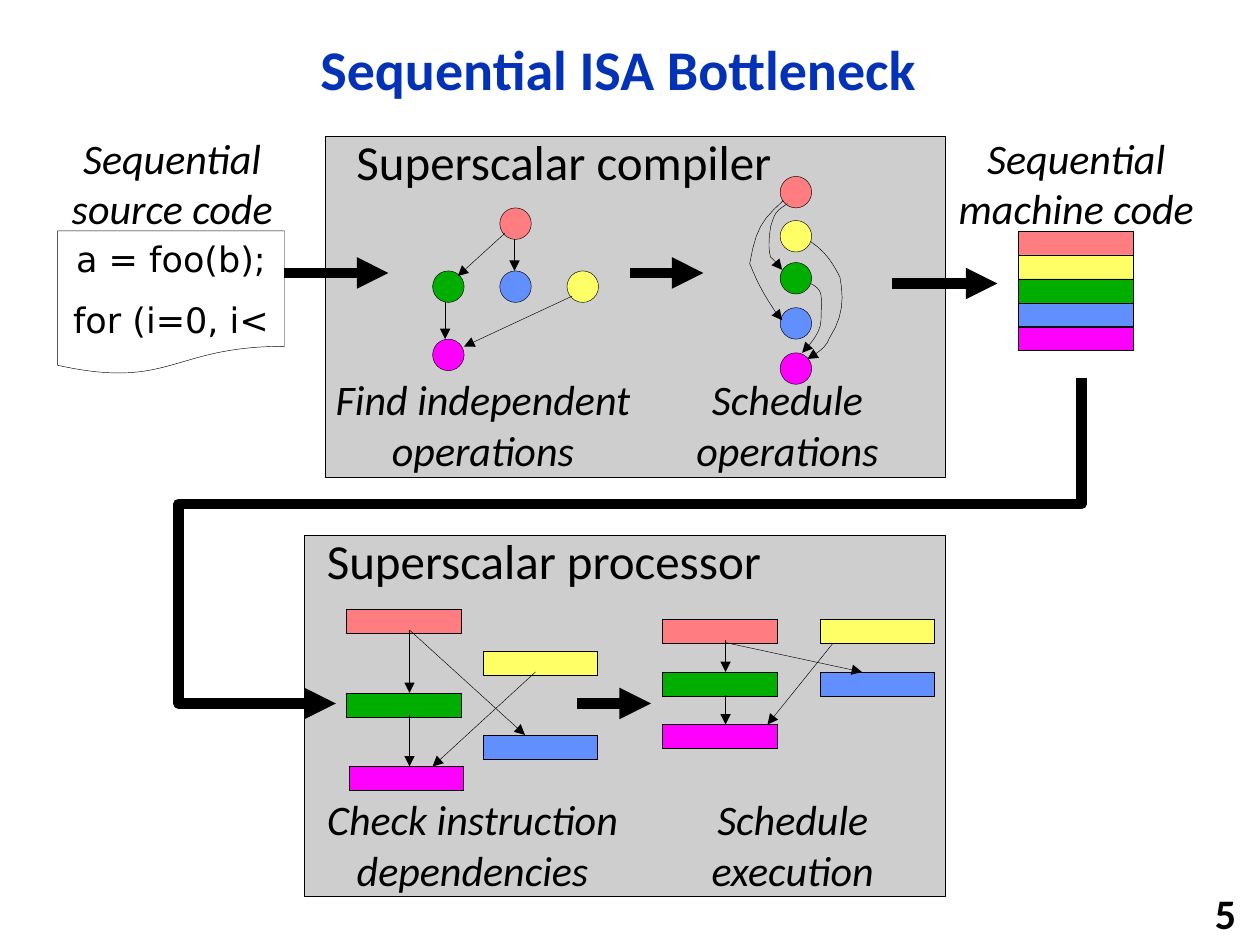
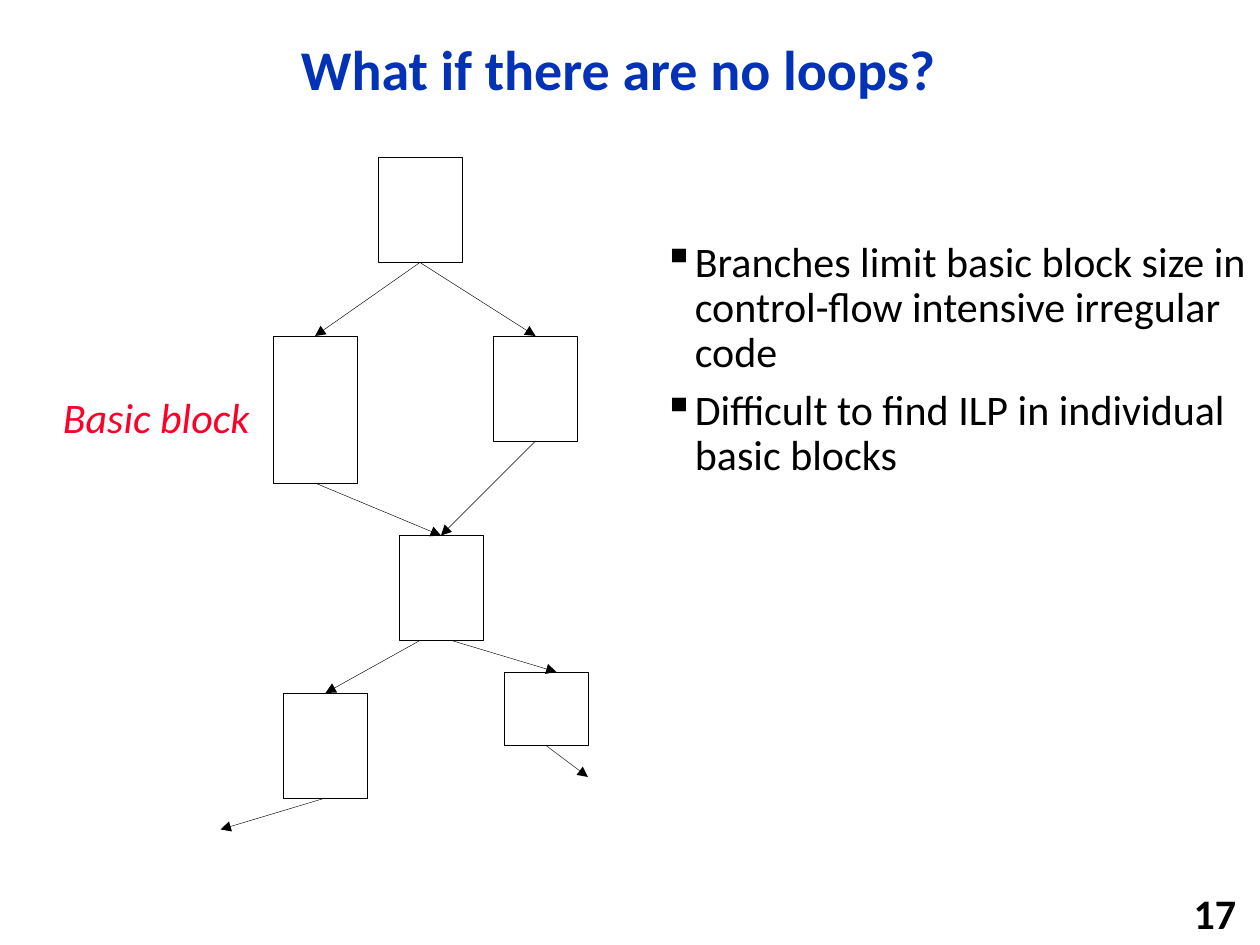
"""Build two slides on instruction scheduling and basic blocks."""
from dataclasses import dataclass

import pptx
import pptx.dml.color
import pptx.enum.shapes
import pptx.enum.text
import pptx.oxml.ns
import pptx.util
from lxml import etree

RGB = pptx.dml.color.RGBColor
SHAPE = pptx.enum.shapes.MSO_SHAPE
ALIGN = pptx.enum.text.PP_ALIGN
ANCHOR = pptx.enum.text.MSO_ANCHOR
Pt = pptx.util.Pt
qn = pptx.oxml.ns.qn

BLACK = RGB(0x00, 0x00, 0x00)
WHITE = RGB(0xFF, 0xFF, 0xFF)
TITLE_BLUE = RGB(0x03, 0x32, 0xB7)
LABEL_RED = RGB(0xFC, 0x01, 0x28)
PANEL_GREY = RGB(0xCE, 0xCE, 0xCE)
PINK = RGB(0xFF, 0x7C, 0x80)
YELLOW = RGB(0xFF, 0xFF, 0x66)
GREEN = RGB(0x00, 0xAE, 0x00)
BLUE = RGB(0x61, 0x8F, 0xFD)
MAGENTA = RGB(0xFF, 0x00, 0xFF)

CELL = pptx.util.Inches(10) // 120
COLUMNS, ROWS = 120, 90
HAIRLINE, THICK = 0.25, 6
INSTRUCTION_WIDTH, INSTRUCTION_HEIGHT, OPERATION_SIZE = 10.9, 2.28, 3
CAPTION_HEIGHT = 10.9
Point = tuple[float, float]


@dataclass(frozen=True)
class Box:
    """A rectangle in grid columns and rows."""
    column: float
    row: float
    width: float
    height: float

    def emu(self) -> list[int]:
        """Return the left, top, width and height in EMU."""
        return [cells(v) for v in (self.column, self.row, self.width, self.height)]


@dataclass(frozen=True)
class Node:
    """A coloured instruction or operation at a grid place."""
    column: float
    row: float
    colour: RGB


@dataclass(frozen=True)
class Edge:
    """An arrow between points or named blocks."""
    start: Point | str
    end: Point | str
    weight: float = HAIRLINE


@dataclass(frozen=True)
class Caption:
    """An italic label under or over a stage."""
    text: str
    column: float
    row: float
    width: float


COMPILER = Box(31, 13, 59, 32.5)
PROCESSOR = Box(29, 51, 61, 34.4)
SOURCE_CODE = Box(5.5, 22, 21.6, 13.7)

INSTRUCTIONS = [
    Node(33, 58, PINK), Node(46, 62, YELLOW), Node(33, 66, GREEN),
    Node(46, 70, BLUE), Node(33.25, 73, MAGENTA),
    Node(63.1, 59, PINK), Node(78.1, 59, YELLOW), Node(63.1, 64, GREEN),
    Node(78.1, 64, BLUE), Node(63.1, 69, MAGENTA),
] + [Node(97, 22 + i * INSTRUCTION_HEIGHT, colour)
     for i, colour in enumerate((PINK, YELLOW, GREEN, BLUE, MAGENTA))]

OPERATIONS = [
    Node(41.2, 25.8, GREEN), Node(47.6, 25.8, BLUE), Node(54, 25.8, YELLOW),
    Node(47.6, 19.8, PINK), Node(41.2, 32.3, MAGENTA),
    Node(74.3, 16.8, PINK), Node(74.3, 21, YELLOW), Node(74.3, 25, GREEN),
    Node(74.3, 29.3, BLUE), Node(74.3, 33.6, MAGENTA),
]

DEPENDENCIES = [
    Edge((48.1, 22.2), (43.6, 26.3)), Edge((49, 22.8), (49, 25.8)),
    Edge((42.4, 28.8), (42.4, 32.3)), Edge((54.5, 28.2), (44.2, 33)),
    Edge((39, 60), (39, 66)), Edge((39, 68), (39, 73)),
    Edge((51, 64), (41.2, 73)), Edge((39, 60), (50, 70)),
    Edge((69.1, 61), (69.1, 64)), Edge((69.1, 61.2), (82.1, 64)),
    Edge((79.3, 61.3), (73.1, 69)), Edge((69.1, 66.2), (69.1, 69)),
]
FLOW = [
    Edge((27, 26), (37, 26), THICK), Edge((60, 26), (67, 26), THICK),
    Edge((85, 27), (95, 27), THICK), Edge((55, 67), (62, 67), THICK),
]
MACHINE_CODE_ROUTE = [(103, 36), (103, 48), (17, 48), (17, 67), (32, 67)]

SCHEDULE_CURVES = [
    [(77.2, 23), (78.7, 24), (79.4, 25.2), (80, 26.4), (80.4, 28.4),
     (80.3, 30.2), (79, 32.2), (78.7, 33.2), (77.5, 33.8), (76.9, 34.2)],
    [(75, 19.4), (73.8, 20.2), (73.8, 20.3), (73.4, 21.6), (73.3, 22.3),
     (73.1, 23.6), (73.4, 24.5), (73.7, 24.7), (74.5, 25.7), (74.5, 25.7)],
    [(74.6, 19.1), (72.5, 21), (72, 21.8), (71.4, 25.1), (72, 26.6),
     (72.7, 28), (73.6, 29.3), (73.9, 29.8), (74.2, 30.2), (74.5, 30.5)],
    [(77.2, 27), (77.6, 27.2), (78.1, 27.5), (78.2, 28.1), (78.3, 28.8),
     (78.2, 29.6), (78.2, 30.5), (78.2, 31.6), (77.2, 32.8), (76.4, 33.6)],
]

CAPTIONS = [
    Caption("Sequential source code", 5, 12, 22.8),
    Caption("Sequential machine code", 89, 12, 27),
    Caption("Find independent operations", 30, 35, 32),
    Caption("Schedule operations", 59, 35, 32),
    Caption("Check instruction dependencies", 28, 75, 34),
    Caption("Schedule execution", 60, 75, 31),
]

BLOCKS = {
    "entry": Box(36, 15, 8, 10),
    "left branch": Box(26, 32, 8, 14),
    "right branch": Box(47, 32, 8, 10),
    "merge": Box(38, 51, 8, 10),
    "left exit": Box(27, 66, 8, 10),
    "right exit": Box(48, 64, 8, 7),
}
BRANCHES = [
    Edge("entry", "left branch"), Edge("entry", "right branch"),
    Edge("left branch", "merge"), Edge("right branch", "merge"),
    Edge((40, 61), "left exit"), Edge((43, 61), (53, 64)),
    Edge("right exit", (56, 74)), Edge("left exit", (21, 79)),
]


def cells(count: float) -> int:
    """Turn a number of grid cells into EMU."""
    return round(count * CELL)


def write(frame, text: str, *, size: float = 24, font: str = "Calibri",
          colour: RGB = BLACK, bold: bool = False, italic: bool = False,
          align=ALIGN.LEFT, anchor=ANCHOR.TOP, wrap: bool = True,
          spacing: float = 1, gap: float = 0, bullet: str = "") -> None:
    """Fill a text frame, one paragraph to a line of text."""
    frame.word_wrap = wrap
    frame.vertical_anchor = anchor
    for index, line in enumerate(text.split("\n")):
        paragraph = frame.add_paragraph() if index else frame.paragraphs[0]
        paragraph.alignment = align
        paragraph.line_spacing = spacing
        if index:
            paragraph.space_before = Pt(gap)
        if bullet:
            properties = paragraph._p.get_or_add_pPr()
            indent = cells(3)
            properties.set("marL", str(indent))
            properties.set("indent", str(-indent))
            etree.SubElement(properties, qn("a:buChar")).set("char", bullet)
        run = paragraph.add_run()
        run.text = line
        run.font.name = font
        run.font.size = Pt(size)
        run.font.bold = bold
        run.font.italic = italic
        run.font.color.rgb = colour


def label(slide, box: Box, text: str, **style) -> None:
    """Place a text box in the grid."""
    write(slide.shapes.add_textbox(*box.emu()).text_frame, text, **style)


def outlined(slide, box: Box, fill: RGB | None = None, kind=SHAPE.RECTANGLE):
    """Draw a shape with a hairline border and an optional fill."""
    shape = slide.shapes.add_shape(kind, *box.emu())
    shape.shadow.inherit = False
    if fill is None:
        shape.fill.background()
    else:
        shape.fill.solid()
        shape.fill.fore_color.rgb = fill
    shape.line.color.rgb = BLACK
    shape.line.width = Pt(HAIRLINE)
    return shape


def point_line(line, weight: float) -> None:
    """Make a line black with a triangle at its end."""
    line.color.rgb = BLACK
    line.width = Pt(weight)
    etree.SubElement(line._get_or_add_ln(), qn("a:tailEnd")).set("type", "triangle")


def arrow(slide, edge: Edge, blocks: dict) -> None:
    """Draw a straight arrow, joined to the blocks it names."""
    ends = [(0, 0) if isinstance(end, str) else end for end in (edge.start, edge.end)]
    connector = slide.shapes.add_connector(
        pptx.enum.shapes.MSO_CONNECTOR.STRAIGHT,
        *[cells(value) for end in ends for value in end])
    if isinstance(edge.start, str):
        connector.begin_connect(blocks[edge.start], 2)
    if isinstance(edge.end, str):
        connector.end_connect(blocks[edge.end], 0)
    point_line(connector.line, edge.weight)
    etree.SubElement(connector._element.spPr, qn("a:effectLst"))


def route(slide, points: list[Point], weight: float = HAIRLINE) -> None:
    """Draw an open outline with an arrowhead through the points."""
    start, *rest = [(cells(x), cells(y)) for x, y in points]
    builder = slide.shapes.build_freeform(*start)
    builder.add_line_segments(rest, close=False)
    path = builder.convert_to_shape()
    path.shadow.inherit = False
    path.fill.background()
    point_line(path.line, weight)


def sample_curve(points: list[Point], steps: int = 6) -> list[Point]:
    """Trace joined cubic curves given as a start and control triples."""
    traced = [points[0]]
    for first in range(0, len(points) - 1, 3):
        controls = points[first:first + 4]
        for step in range(1, steps + 1):
            t = step / steps
            weights = ((1 - t) ** 3, 3 * t * (1 - t) ** 2, 3 * t * t * (1 - t), t ** 3)
            traced.append((sum(w * x for w, (x, _) in zip(weights, controls)),
                           sum(w * y for w, (_, y) in zip(weights, controls))))
    return traced


def add_page(deck, title: str, number: int):
    """Add a blank slide with its title and number."""
    slide = deck.slides.add_slide(deck.slide_layouts[6])
    label(slide, Box(11, 2, 95.8, 9.7), title, size=32, colour=TITLE_BLUE, bold=True,
          align=ALIGN.CENTER, anchor=ANCHOR.MIDDLE, spacing=0.9)
    label(slide, Box(94, 85, 24.9, 3.8), str(number), bold=True,
          align=ALIGN.RIGHT, anchor=ANCHOR.MIDDLE)
    return slide


def build_bottleneck(deck) -> None:
    """Show code passing through the compiler and the processor."""
    slide = add_page(deck, "Sequential ISA Bottleneck", 5)
    for panel in (PROCESSOR, COMPILER):
        outlined(slide, panel, PANEL_GREY)
    for node in INSTRUCTIONS:
        outlined(slide, Box(node.column, node.row, INSTRUCTION_WIDTH, INSTRUCTION_HEIGHT),
                 node.colour)
    for node in OPERATIONS:
        outlined(slide, Box(node.column, node.row, OPERATION_SIZE, OPERATION_SIZE),
                 node.colour, SHAPE.OVAL)
    source = outlined(slide, SOURCE_CODE, WHITE, SHAPE.FLOWCHART_DOCUMENT)
    write(source.text_frame, "a = foo(b);\nfor (i=0, i<", size=20, font="DejaVu Sans",
          align=ALIGN.CENTER, anchor=ANCHOR.MIDDLE, wrap=False, gap=11)
    for edge in DEPENDENCIES + FLOW:
        arrow(slide, edge, {})
    for curve in SCHEDULE_CURVES:
        route(slide, sample_curve(curve))
    route(slide, MACHINE_CODE_ROUTE, THICK)
    for heading, box in (("Superscalar compiler", Box(32.4, 11.9, 42.6, 6.8)),
                         ("Superscalar processor", Box(29.6, 49.9, 44.4, 6.8))):
        label(slide, box, heading, size=28, align=ALIGN.CENTER, wrap=False)
    for caption in CAPTIONS:
        label(slide, Box(caption.column, caption.row, caption.width, CAPTION_HEIGHT),
              caption.text, italic=True, align=ALIGN.CENTER)


def build_basic_blocks(deck) -> None:
    """Show a control-flow graph beside two remarks."""
    slide = add_page(deck, "What if there are no loops?", 17)
    label(slide, Box(62, 22, 58, 24.6),
          "Branches limit basic block size in control-flow intensive irregular code\n"
          "Difficult to find ILP in individual basic blocks",
          anchor=ANCHOR.MIDDLE, spacing=0.9, gap=7, bullet="▪")
    blocks = {name: outlined(slide, box) for name, box in BLOCKS.items()}
    for edge in BRANCHES:
        arrow(slide, edge, blocks)
    label(slide, Box(4.8, 36.6, 21.4, 6.1), "Basic block", colour=LABEL_RED,
          italic=True, anchor=ANCHOR.MIDDLE, wrap=False)


def main() -> None:
    """Build and save the deck."""
    deck = pptx.Presentation()
    deck.slide_width = cells(COLUMNS)
    deck.slide_height = cells(ROWS)
    build_bottleneck(deck)
    build_basic_blocks(deck)
    deck.save("out.pptx")


if __name__ == "__main__":
    main()
